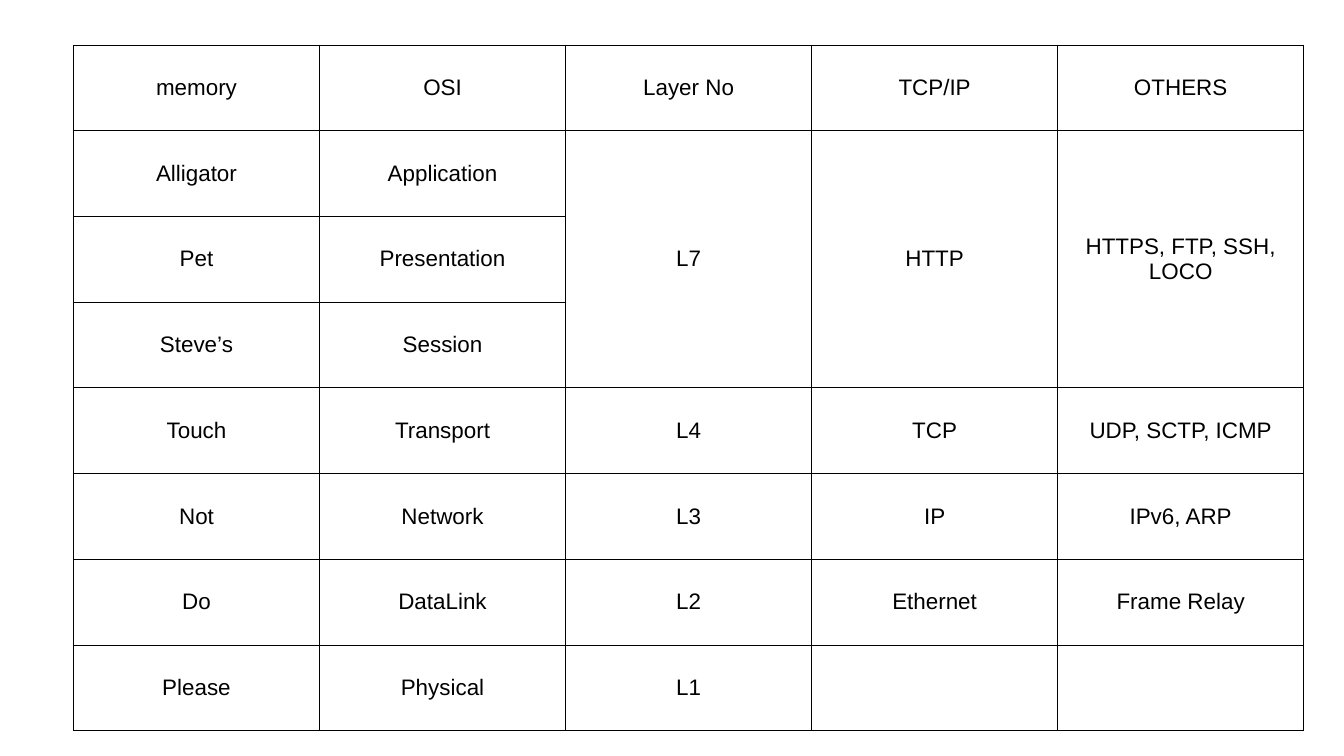
from dataclasses import dataclass

from lxml import etree
from pptx import Presentation
from pptx.dml.color import RGBColor
from pptx.enum.text import MSO_ANCHOR, PP_ALIGN
from pptx.oxml.ns import qn
from pptx.util import Pt

CENTER = PP_ALIGN.CENTER
MIDDLE = MSO_ANCHOR.MIDDLE
BLANK_LAYOUT = 6


@dataclass(frozen=True)
class Theme:
    ink: str = "000000"
    font: str = "Arial"
    body_size: float = 32
    border_width: float = 1
    cell_inset: float = 4.5


HEADER = ["memory", "OSI", "Layer No", "TCP/IP", "OTHERS"]
LAYERS = [
    ["Alligator", "Application", "L7", "HTTP", "HTTPS, FTP, SSH, LOCO"],
    ["Pet", "Presentation", "", "", ""],
    ["Steve’s", "Session", "", "", ""],
    ["Touch", "Transport", "L4", "TCP", "UDP, SCTP, ICMP"],
    ["Not", "Network", "L3", "IP", "IPv6, ARP"],
    ["Do", "DataLink", "L2", "Ethernet", "Frame Relay"],
    ["Please", "Physical", "L1", "", ""],
]
# Application to Session share one cell in the last three columns
MERGES = [((1, column), (3, column)) for column in (2, 3, 4)]


def write_text(frame, text, *, size, font, color, align=CENTER):
    para = frame.paragraphs[0]
    para.alignment = align
    span = para.add_run()
    span.text = text
    span.font.size = Pt(size)
    span.font.name = font
    span.font.color.rgb = RGBColor.from_string(color)


class SlideBuilder:
    def __init__(self, slide, theme):
        self.slide = slide
        self.theme = theme

    def border(self, cell):
        properties = cell._tc.get_or_add_tcPr()
        for side in ("lnL", "lnR", "lnT", "lnB"):
            line = etree.SubElement(properties, qn(f"a:{side}"),
                                    w=str(Pt(self.theme.border_width)))
            fill = etree.SubElement(line, qn("a:solidFill"))
            etree.SubElement(fill, qn("a:srgbClr"), val=self.theme.ink)

    def cell(self, cell, text):
        theme = self.theme
        inset = Pt(theme.cell_inset)
        cell.margin_left = cell.margin_right = inset
        cell.margin_top = cell.margin_bottom = inset
        cell.vertical_anchor = MIDDLE
        self.border(cell)
        cell.fill.background()
        if text:
            write_text(cell.text_frame, text, size=theme.body_size,
                       font=theme.font, color=theme.ink)

    def table(self, rows, merges, left, top, column_width, row_height):
        row_count, column_count = len(rows), len(rows[0])
        table = self.slide.shapes.add_table(
            row_count, column_count, Pt(left), Pt(top),
            Pt(column_width * column_count), Pt(row_height * row_count)).table
        table.first_row = table.horz_banding = False
        for column in table.columns:
            column.width = Pt(column_width)
        for row in table.rows:
            row.height = Pt(row_height)
        for first, last in merges:
            table.cell(*first).merge(table.cell(*last))
        for row_index, texts in enumerate(rows):
            for column_index, text in enumerate(texts):
                self.cell(table.cell(row_index, column_index), text)


def main():
    # Deck and page
    deck = Presentation()
    deck.slide_width, deck.slide_height = Pt(1920), Pt(1080)
    page = deck.slides.add_slide(deck.slide_layouts[BLANK_LAYOUT])

    # Network layer table
    builder = SlideBuilder(page, Theme())
    builder.table([HEADER] + LAYERS, MERGES, left=105, top=64,
                  column_width=351.5, row_height=122.5)

    deck.save("out.pptx")


if __name__ == "__main__":
    main()
